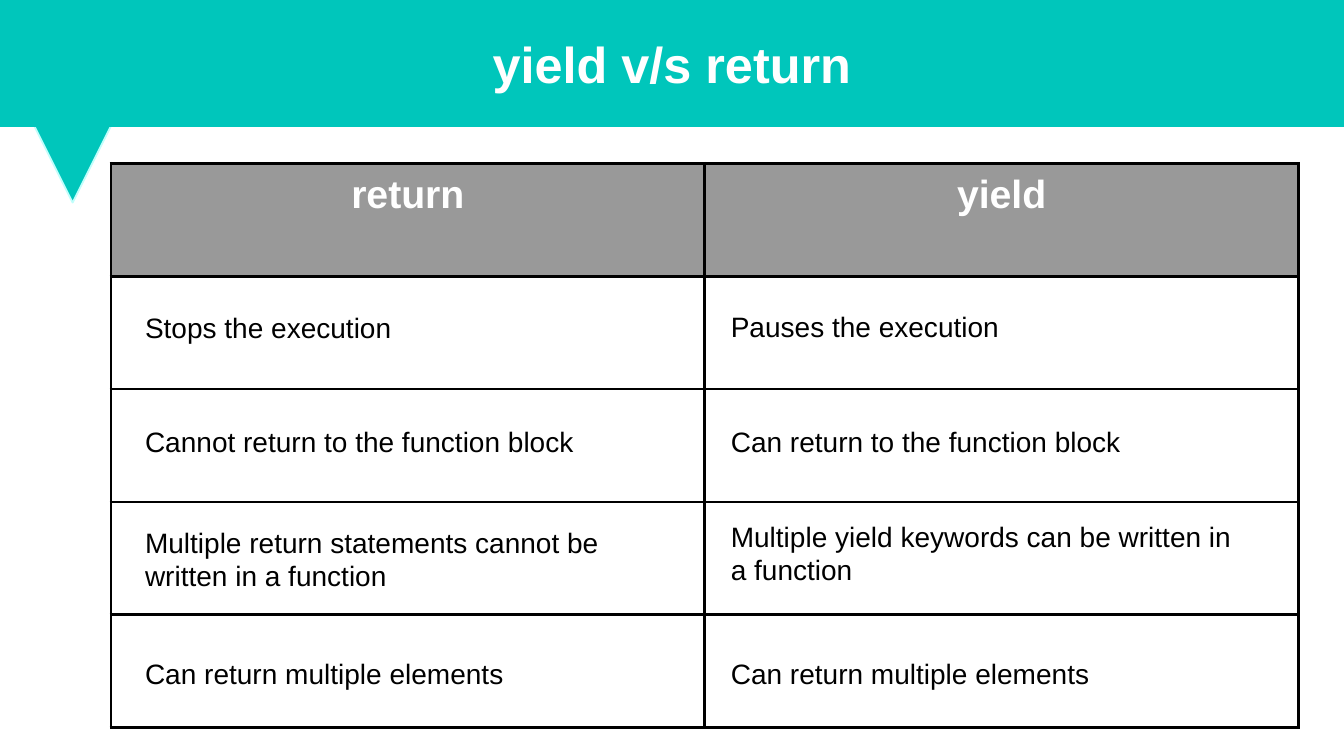
from dataclasses import dataclass

from lxml import etree
from pptx import Presentation
from pptx import util as u
from pptx.dml.color import RGBColor
from pptx.enum import shapes, text
from pptx.oxml import ns

TITLE = "yield v/s return"
HEADERS = ("return", "yield")
COMPARISONS = (
    (("Stops the execution", 2.98), ("Pauses the execution", 2.97)),
    (("Cannot return to the function block", 4.11), ("Can return to the function block", 4.11)),
    (("Multiple return statements cannot be written in a function", 5.11),
     ("Multiple yield keywords can be written in a function", 5.05)),
    (("Can return multiple elements", 6.41), ("Can return multiple elements", 6.41)),
)
TEXT_LEFTS = (1.34, 7.15)
TEXT_WIDTH = 5.33
LINE_HEIGHT, LONG_HEIGHT, LONG_LENGTH = 0.54, 0.88, 45
TABLE_LEFT, TABLE_TOP = 1.1, 1.62
COLUMN_WIDTH, ROW_HEIGHT = 5.89, 1.12
PADDING = 0.1


@dataclass(frozen=True)
class Theme:
    font: str = "Arial"
    teal: str = "00C6BB"
    pale: str = "C0FEFB"
    grey: str = "999999"
    white: str = "FFFFFF"
    black: str = "000000"
    title_size: float = 36
    header_size: float = 28
    body_size: float = 20
    outline: float = 1.25
    border: float = 2.25


theme = Theme()


def paint(shape, fill, line):
    shape.fill.solid()
    shape.fill.fore_color.rgb = RGBColor.from_string(fill)
    shape.line.color.rgb = RGBColor.from_string(line)
    shape.line.width = u.Pt(theme.outline)


def write(frame, words, size, color, bold=False, align=text.PP_ALIGN.LEFT):
    para = frame.paragraphs[0]
    para.alignment = align
    span = para.add_run()
    span.text = words
    span.font.name = theme.font
    span.font.size = u.Pt(size)
    span.font.bold = bold
    span.font.color.rgb = RGBColor.from_string(color)


def set_padding(holder, across, down):
    holder.margin_left = holder.margin_right = u.Inches(across)
    holder.margin_top = holder.margin_bottom = u.Inches(down)


def add_borders(cell):
    properties = cell._tc.get_or_add_tcPr()
    for position, side in enumerate(("lnL", "lnR", "lnT", "lnB")):
        line = etree.Element(ns.qn(f"a:{side}"), w=str(u.Pt(theme.border)))
        fill = etree.SubElement(line, ns.qn("a:solidFill"))
        etree.SubElement(fill, ns.qn("a:srgbClr"), val=theme.black)
        properties.insert(position, line)


deck = Presentation()
deck.slide_width, deck.slide_height = u.Inches(13.33), u.Inches(7.5)
page = deck.slides.add_slide(deck.slide_layouts[5])

pointer = page.shapes.add_shape(
    shapes.MSO_SHAPE.ISOSCELES_TRIANGLE,
    u.Inches(0.1), u.Inches(0.77), u.Inches(1.24), u.Inches(1.24))
pointer.rotation = 180
pointer.shadow.inherit = False
paint(pointer, theme.pale, theme.pale)
paint(pointer, theme.teal, theme.pale)

banner = page.shapes.title
banner.left, banner.top = 0, 0
banner.width, banner.height = deck.slide_width, u.Inches(1.25)
paint(banner, theme.teal, theme.teal)
banner.text_frame.auto_size = text.MSO_AUTO_SIZE.NONE
banner.text_frame.vertical_anchor = text.MSO_ANCHOR.MIDDLE
set_padding(banner.text_frame, PADDING, PADDING / 2)
write(banner.text_frame, TITLE, theme.title_size, theme.white, True, text.PP_ALIGN.CENTER)
pointer.element.addnext(banner.element)

row_count, column_count = len(COMPARISONS) + 1, len(HEADERS)
table = page.shapes.add_table(
    row_count, column_count, u.Inches(TABLE_LEFT), u.Inches(TABLE_TOP),
    u.Inches(COLUMN_WIDTH * column_count), u.Inches(ROW_HEIGHT * row_count)).table
table.first_row = table.horz_banding = False
for cell in table.iter_cells():
    set_padding(cell, PADDING, PADDING)
    cell.fill.background()
    add_borders(cell)
for column, words in enumerate(HEADERS):
    cell = table.cell(0, column)
    cell.fill.solid()
    cell.fill.fore_color.rgb = RGBColor.from_string(theme.grey)
    write(cell.text_frame, words, theme.header_size, theme.white, True, text.PP_ALIGN.CENTER)

for comparison in COMPARISONS:
    for left, (words, top) in zip(TEXT_LEFTS, comparison):
        height = LONG_HEIGHT if len(words) > LONG_LENGTH else LINE_HEIGHT
        box = page.shapes.add_textbox(
            u.Inches(left), u.Inches(top), u.Inches(TEXT_WIDTH), u.Inches(height))
        frame = box.text_frame
        frame.word_wrap = True
        frame.auto_size = text.MSO_AUTO_SIZE.SHAPE_TO_FIT_TEXT
        set_padding(frame, PADDING, PADDING)
        write(frame, words, theme.body_size, theme.black)

deck.save("out.pptx")
